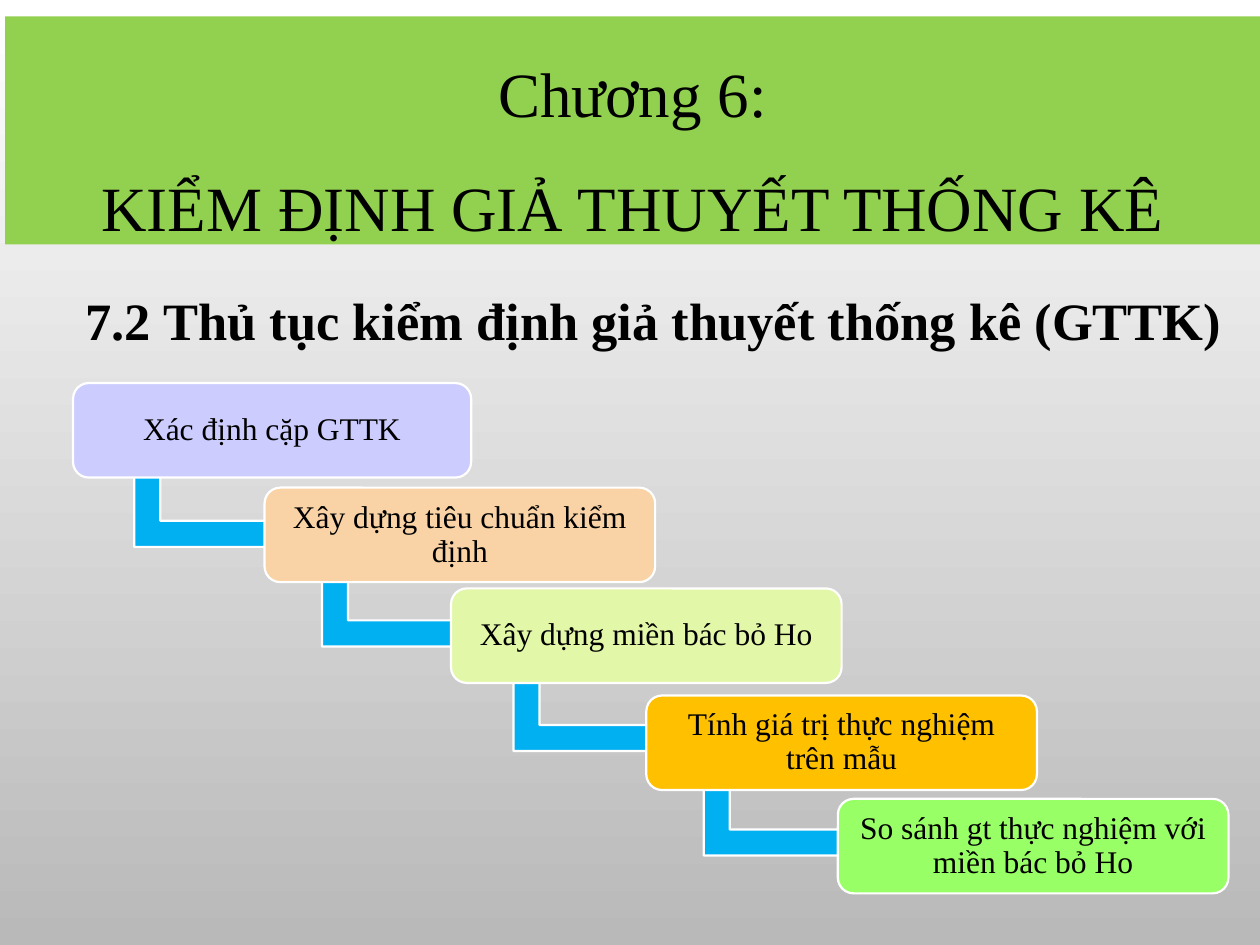
from pptx import Presentation
from pptx.dml.color import RGBColor
from pptx.enum.shapes import MSO_SHAPE as Preset
from pptx.enum.text import MSO_ANCHOR as Anchor, PP_ALIGN as Align
from pptx.util import Inches, Pt

FONT = "Times New Roman"
BLACK = RGBColor(0x00, 0x00, 0x00)
WHITE = RGBColor(0xFF, 0xFF, 0xFF)
GRAY = RGBColor(0xB9, 0xB9, 0xB9)
BLUE = RGBColor(0x00, 0xB0, 0xF0)
GREEN = RGBColor(0x92, 0xD0, 0x50)
LILAC = RGBColor(0xCC, 0xCC, 0xFF)
PEACH = RGBColor(0xF9, 0xD3, 0xA5)
LIME = RGBColor(0xE2, 0xF7, 0xA7)
AMBER = RGBColor(0xFF, 0xC0, 0x00)
MINT = RGBColor(0x99, 0xFF, 0x66)

TITLE_LINES = ["Chương 6:", "KIỂM ĐỊNH GIẢ THUYẾT THỐNG KÊ"]
HEADING = "7.2 Thủ tục kiểm định giả thuyết thống kê (GTTK)"
STEPS = [
    ("Xác định cặp GTTK", LILAC, 0.58, 3.04, 3.16),
    ("Xây dựng tiêu chuẩn kiểm định", PEACH, 2.1, 3.87, 3.1),
    ("Xây dựng miền bác bỏ Ho", LIME, 3.58, 4.67, 3.1),
    ("Tính giá trị thực nghiệm trên mẫu", AMBER, 5.13, 5.52, 3.1),
    ("So sánh gt thực nghiệm với miền bác bỏ Ho", MINT, 6.65, 6.34, 3.1),
]
ARROWS = [(1.8, 3.03), (3.29, 3.82), (4.81, 4.65), (6.32, 5.48)]
STEP_HEIGHT = 0.75
ARROW_SIZE = (0.63, 2.1)


def add_block(slide, preset, box, fill, outlined=True, adjustments=()):
    shape = slide.shapes.add_shape(preset, *map(Inches, box))
    shape.shadow.inherit = False
    shape.fill.solid()
    shape.fill.fore_color.rgb = fill
    if outlined:
        shape.line.color.rgb = WHITE
        shape.line.width = Pt(1.25)
    else:
        shape.line.fill.background()
    for index, value in enumerate(adjustments):
        shape.adjustments[index] = value
    return shape


def write(shape, lines, size, spacing, align, bold=False):
    frame = shape.text_frame
    frame.word_wrap = True
    frame.vertical_anchor = Anchor.MIDDLE
    paragraph = frame.paragraphs[0]
    paragraph.alignment = align
    paragraph.line_spacing = spacing
    for index, line in enumerate(lines):
        if index:
            paragraph.add_line_break()
        run = paragraph.add_run()
        run.text = line
        run.font.name = FONT
        run.font.size = Pt(size)
        run.font.bold = bold
        run.font.color.rgb = BLACK
    return paragraph


def add_step(slide, text, fill, left, top, width):
    shape = add_block(slide, Preset.ROUNDED_RECTANGLE,
                      (left, top, width, STEP_HEIGHT), fill)
    frame = shape.text_frame
    frame.margin_left = frame.margin_right = Inches(0.07)
    frame.margin_top = frame.margin_bottom = Inches(0.07)
    write(shape, [text], 18, 0.9, Align.CENTER)


def add_arrow(slide, left, top):
    arrow = add_block(slide, Preset.BENT_UP_ARROW, (left, top, *ARROW_SIZE),
                      BLUE, adjustments=(0.328, 0.25, 0.358))
    arrow.rotation = 90


def main():
    presentation = Presentation()
    presentation.slide_width = Inches(10)
    presentation.slide_height = Inches(7.5)
    slide = presentation.slides.add_slide(presentation.slide_layouts[6])

    background = slide.background.fill
    background.gradient()
    background.gradient_angle = 270
    for stop, color, position in zip(background.gradient_stops, (WHITE, GRAY), (0, 1)):
        stop.color.rgb = color
        stop.position = position

    for index, step in enumerate(STEPS):
        if index < len(ARROWS):
            add_arrow(slide, *ARROWS[index])
        add_step(slide, *step)

    heading = slide.shapes.add_textbox(*map(Inches, (0.08, 2.03, 9.83, 0.77)))
    paragraph = write(heading, [HEADING], 30, 1.5, Align.LEFT, bold=True)
    properties = paragraph._p.get_or_add_pPr()
    properties.set("marL", "0")
    properties.set("indent", str(Inches(0.5)))

    band = add_block(slide, Preset.RECTANGLE, (0.04, 0.13, 9.96, 1.81), GREEN, outlined=False)
    write(band, TITLE_LINES, 36, 1.5, Align.CENTER)

    presentation.save("out.pptx")


if __name__ == "__main__":
    main()
